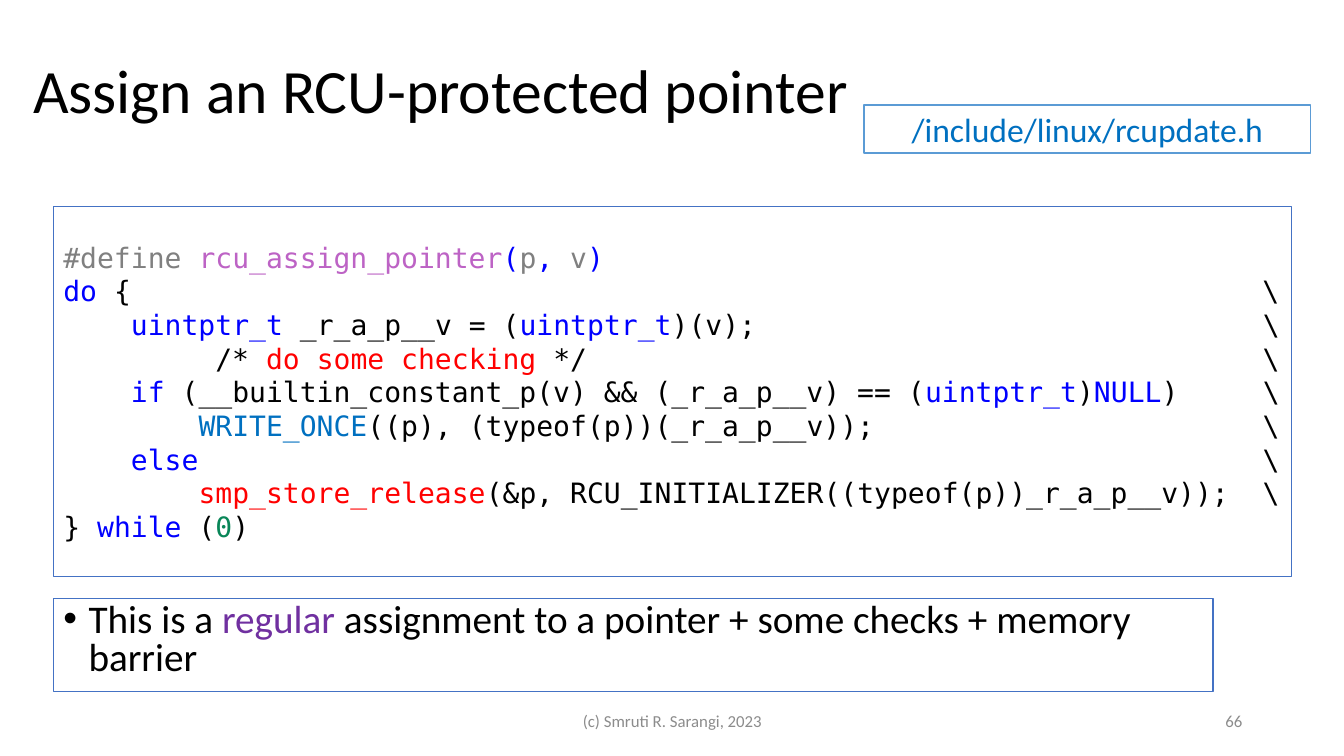
from lxml import etree
from pptx import Presentation
from pptx.dml.color import RGBColor
from pptx.enum.shapes import MSO_SHAPE as Shape
from pptx.enum.text import MSO_ANCHOR as Anchor, PP_ALIGN as Align
from pptx.oxml.ns import qn
from pptx.util import Inches, Pt

THEME = {
    "colors": {
        "text": "000000", "paper": "FFFFFF", "frame": "4472C4", "file_frame": "5B9BD5",
        "footer": "8C8C8C", "accent": "7030A0", "directive": "808080", "macro": "BD63C5",
        "keyword": "0000FF", "call": "0070C0", "alert": "FF0000", "number": "098658",
    },
    "sizes": {"title": 44, "body": 28, "file": 24, "code": 20, "footer": 12},
    "font": "Calibri",
    "code_font": "DejaVu Sans Mono",
}

# Each line is a list of (text, color name) parts.
TITLE = [[("Assign an RCU-protected pointer", "text")]]
FILE = [[("/include/linux/rcupdate.h", "call")]]
REMARK = [[
    ("This is a ", "text"), ("regular", "accent"),
    (" assignment to a pointer + some checks + memory barrier", "text"),
]]
COPYRIGHT = [[("(c) Smruti R. Sarangi, 2023", "footer")]]
PAGE = [[("66", "footer")]]
MACRO_HEAD = [
    ("#define ", "directive"), ("rcu_assign_pointer", "macro"), ("(", "keyword"),
    ("p", "directive"), (", ", "keyword"), ("v", "directive"), (")", "keyword"),
]
MACRO_BODY = [
    [("do", "keyword"), (" {", "text")],
    [("    ", "text"), ("uintptr_t", "keyword"), (" _r_a_p__v = (", "text"),
     ("uintptr_t", "keyword"), (")(v);", "text")],
    [("         /* ", "text"), ("do some checking ", "alert"), ("*/", "text")],
    [("    ", "text"), ("if", "keyword"),
     (" (__builtin_constant_p(v) && (_r_a_p__v) == (", "text"),
     ("uintptr_t", "keyword"), (")", "text"), ("NULL", "keyword"), (")", "text")],
    [("        ", "text"), ("WRITE_ONCE", "call"),
     ("((p), (typeof(p))(_r_a_p__v));", "text")],
    [("    ", "text"), ("else", "keyword")],
    [("        ", "text"), ("smp_store_release", "alert"),
     ("(&p, RCU_INITIALIZER((typeof(p))_r_a_p__v));", "text")],
]
MACRO_END = [("} ", "text"), ("while", "keyword"), (" (", "text"), ("0", "number"), (")", "text")]
CONTINUATION_COLUMN = 71


def color(name):
    return RGBColor.from_string(THEME["colors"][name])


def continued(line):
    """Pad a macro line so that its backslash stands in the common column."""
    length = sum(len(text) for text, _ in line)
    return line + [("\\".rjust(CONTINUATION_COLUMN + 1 - length), "text")]


def write(box, lines, size, font=THEME["font"], align=Align.LEFT, anchor=Anchor.MIDDLE):
    frame = box.text_frame
    frame.word_wrap = True
    frame.vertical_anchor = anchor
    for index, line in enumerate(lines):
        paragraph = frame.add_paragraph() if index else frame.paragraphs[0]
        paragraph.alignment = align
        for text, color_name in line:
            run = paragraph.add_run()
            run.text = text
            run.font.size = Pt(THEME["sizes"][size])
            run.font.name = font
            run.font.color.rgb = color(color_name)
    return frame.paragraphs[0]


def add_label(slide, place):
    return slide.shapes.add_textbox(*map(Inches, place))


def add_frame(slide, place, border="frame"):
    frame = slide.shapes.add_shape(Shape.RECTANGLE, *map(Inches, place))
    frame.shadow.inherit = False
    frame.fill.solid()
    frame.fill.fore_color.rgb = color("paper")
    frame.line.color.rgb = color(border)
    frame.line.width = Pt(1)
    return frame


def add_bullet(paragraph):
    properties = paragraph._p.get_or_add_pPr()
    properties.set("marL", str(Inches(0.25)))
    properties.set("indent", str(Inches(-0.25)))
    etree.SubElement(properties, qn("a:buFont")).set("typeface", "Arial")
    etree.SubElement(properties, qn("a:buChar")).set("char", "•")


def main():
    deck = Presentation()
    deck.slide_width, deck.slide_height = Inches(13.33), Inches(7.5)
    slide = deck.slides.add_slide(deck.slide_layouts[6])

    title = write(add_label(slide, (0.23, 0.2, 11.5, 1.45)), TITLE, "title")
    title.line_spacing = 0.9

    remark = write(add_frame(slide, (0.53, 5.94, 11.5, 0.92)), REMARK, "body", anchor=Anchor.TOP)
    add_bullet(remark)
    remark.line_spacing = 0.8

    write(add_label(slide, (4.42, 6.95, 4.5, 0.4)), COPYRIGHT, "footer", align=Align.CENTER)
    write(add_label(slide, (9.42, 6.95, 3, 0.4)), PAGE, "footer", align=Align.RIGHT)

    code = [MACRO_HEAD, *map(continued, MACRO_BODY), MACRO_END]
    write(add_frame(slide, (0.53, 2.05, 12.28, 3.67)), code, "code", THEME["code_font"])
    write(add_frame(slide, (8.57, 1.04, 4.43, 0.48), "file_frame"), FILE, "file",
          align=Align.CENTER)

    deck.save("out.pptx")


if __name__ == "__main__":
    main()
